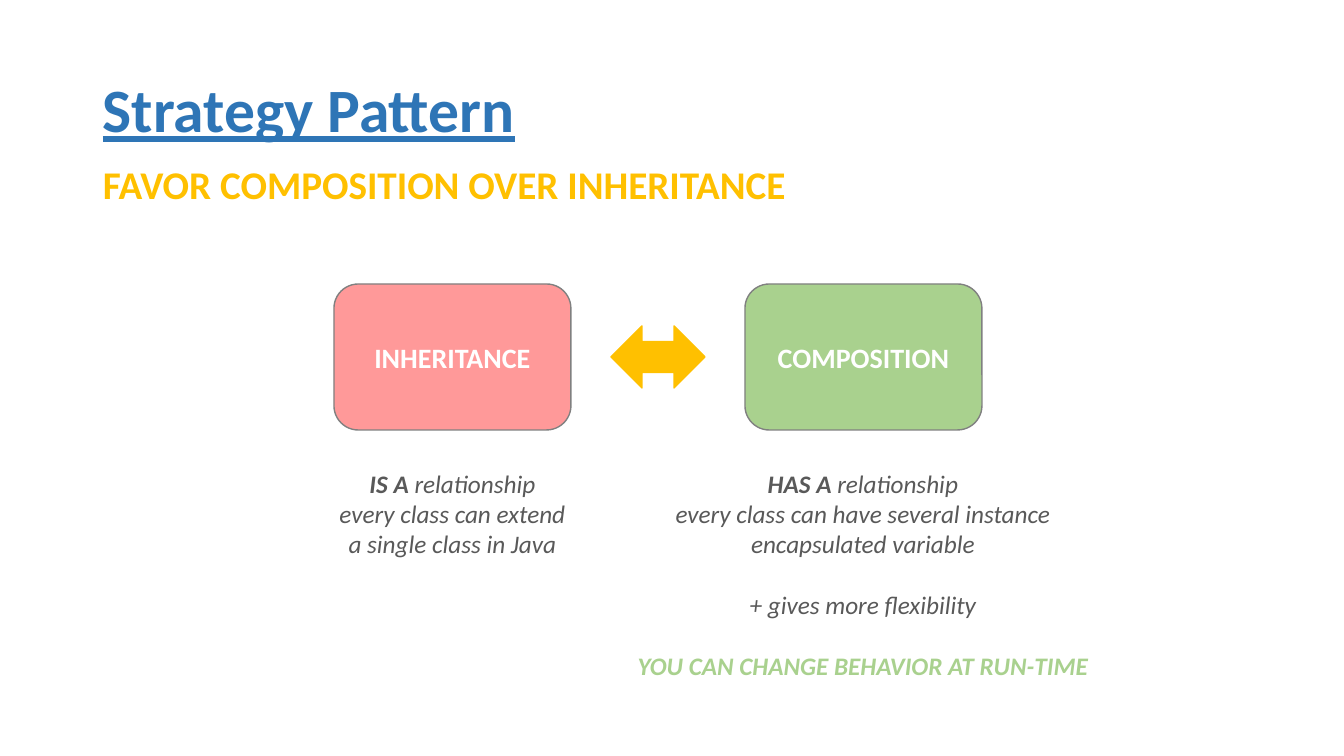
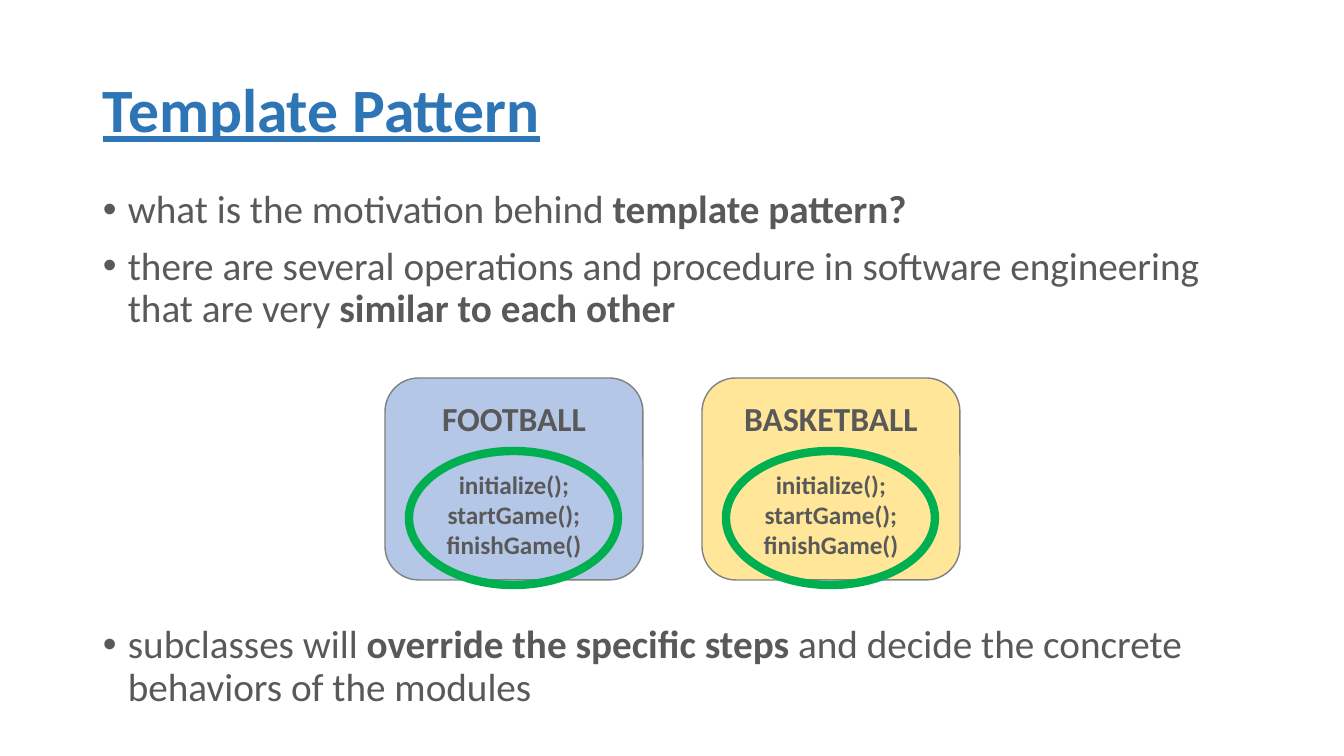
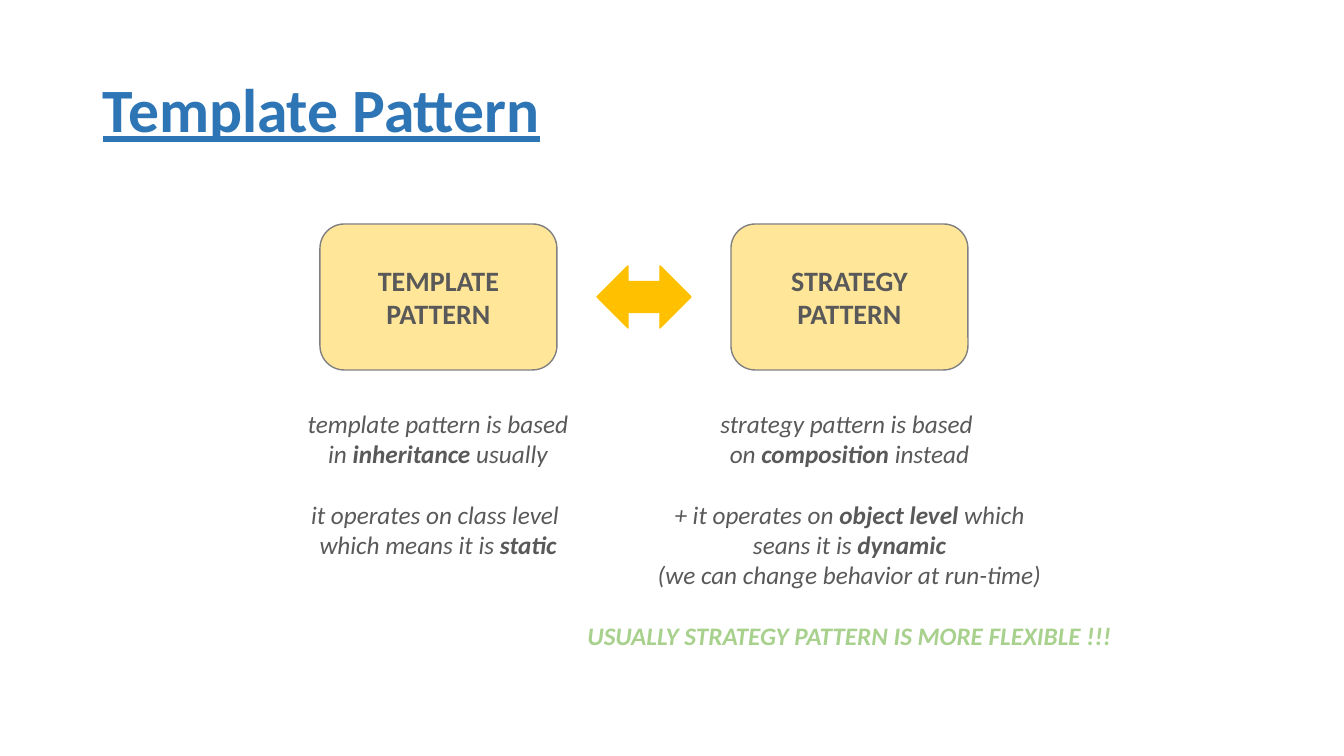
from lxml.etree import SubElement
from pptx import Presentation
from pptx.dml.color import RGBColor
from pptx.enum.shapes import MSO_SHAPE
from pptx.enum.text import MSO_ANCHOR, MSO_AUTO_SIZE, PP_ALIGN
from pptx.oxml.ns import qn
from pptx.util import Pt

PX = 914400 / 100.8
COLORS = {
    "title": "2E75B6", "text": "595959", "white": "FFFFFF", "outline": "808080",
    "gold": "FFC000", "red": "FF9999", "green": "A9D18E", "blue": "B4C7E7",
    "yellow": "FFE699", "ring": "00B050",
}
FONT = "Calibri"
BLANK_LINE = 22  # points, one line of 18 pt text


def add_object(page, kind, bounds, fill=None, line=None, line_width=1):
    """Place a preset shape, or a text box when kind is None; bounds in px."""
    bounds = [round(value * PX) for value in bounds]
    if kind is None:
        box = page.shapes.add_textbox(*bounds)
    else:
        box = page.shapes.add_shape(kind, *bounds)
        box.shadow.inherit = False
        box.line.color.rgb = RGBColor.from_string(COLORS[line])
        box.line.width = Pt(line_width)
        if fill:
            box.fill.solid()
            box.fill.fore_color.rgb = RGBColor.from_string(COLORS[fill])
        else:
            box.fill.background()
        box.text_frame.vertical_anchor = MSO_ANCHOR.MIDDLE
    box.text_frame.word_wrap = True
    return box


def write(box, text, size, color="text", bold=False, italic=False, underline=False,
          align=PP_ALIGN.CENTER, gap=0, spacing=1.0, bullet=False):
    """Add one paragraph; words between ** marks are bold."""
    frame = box.text_frame
    para = frame.add_paragraph() if frame.paragraphs[0].runs else frame.paragraphs[0]
    para.alignment, para.line_spacing, para.space_before = align, spacing, Pt(gap)
    if bullet:
        properties = para._p.get_or_add_pPr()
        indent = round(25 * PX)
        properties.set("marL", str(indent))
        properties.set("indent", str(-indent))
        SubElement(properties, qn("a:buFont")).set("typeface", "Arial")
        SubElement(properties, qn("a:buChar")).set("char", "•")
    font = para.font
    font.name, font.size = FONT, Pt(size)
    font.bold, font.italic, font.underline = bold, italic, underline
    font.color.rgb = RGBColor.from_string(COLORS[color])
    for index, part in enumerate(text.split("**")):
        if part:
            span = para.add_run()
            span.text = part
            if index % 2:
                span.font.bold = True


deck = Presentation()
deck.slide_width, deck.slide_height = round(1344 * PX), round(756 * PX)

# Pages with their shared title
pages = []
for title in ("Strategy Pattern", "Template Pattern", "Template Pattern"):
    page = deck.slides.add_slide(deck.slide_layouts[6])
    heading = add_object(page, None, (93, 40, 1159, 146))
    heading.text_frame.vertical_anchor = MSO_ANCHOR.MIDDLE
    write(heading, title, 44, "title", bold=True, underline=True,
          align=PP_ALIGN.LEFT, spacing=0.9)
    pages.append(page)
strategy_page, template_page, contrast_page = pages

# Strategy page: subtitle
subtitle = add_object(strategy_page, None, (93, 161, 1186, 538))
write(subtitle, "FAVOR COMPOSITION OVER INHERITANCE", 28, "gold", bold=True,
      align=PP_ALIGN.LEFT, spacing=0.9)

# Strategy and contrast pages: two cards, an arrow between, a caption under each.
# Card: label, fill, text color, caption width, caption groups (color, lines)
comparisons = [
    (strategy_page, 334, 284, [
        ("INHERITANCE", "red", "white", 249, [
            ("text", ["**IS A** relationship", "every class can extend",
                      "a single class in Java"]),
        ]),
        ("COMPOSITION", "green", "white", 476, [
            ("text", ["**HAS A** relationship", "every class can have several instance",
                      "encapsulated variable"]),
            ("text", ["+ gives more flexibility"]),
            ("green", ["**YOU CAN CHANGE BEHAVIOR AT RUN-TIME**"]),
        ]),
    ]),
    (contrast_page, 320, 224, [
        ("TEMPLATE PATTERN", "yellow", "text", 290, [
            ("text", ["template pattern is based", "in **inheritance** usually"]),
            ("text", ["it operates on class level ", "which means it is **static**"]),
        ]),
        ("STRATEGY PATTERN", "yellow", "text", 549, [
            ("text", ["strategy pattern is based ", "on **composition** instead"]),
            ("text", ["+ it operates on **object level **which", "seans it is **dynamic**",
                      "(we can change behavior at run-time)"]),
            ("green", ["**USUALLY STRATEGY PATTERN IS MORE FLEXIBLE !!!**"]),
        ]),
    ]),
]
card_width, card_height, card_step = 237, 146, 411
arrow_width, arrow_height = 94, 62
for page, left, top, cards in comparisons:
    for column, (label, fill, label_color, caption_width, groups) in enumerate(cards):
        card_left = left + column * card_step
        card = add_object(page, MSO_SHAPE.ROUNDED_RECTANGLE,
                          (card_left, top, card_width, card_height), fill, "outline")
        write(card, label, 20, label_color, bold=True)

        line_count = sum(len(lines) for _, lines in groups) + len(groups) - 1
        caption_left = card_left + (card_width - caption_width) // 2
        caption = add_object(page, None, (caption_left, top + 179,
                                          caption_width, 10 + 31 * line_count))
        caption.text_frame.word_wrap = False
        caption.text_frame.auto_size = MSO_AUTO_SIZE.SHAPE_TO_FIT_TEXT
        for group_index, (color, lines) in enumerate(groups):
            for line_index, text in enumerate(lines):
                gap = BLANK_LINE if group_index and not line_index else 0
                write(caption, text, 18, color, italic=True, gap=gap)

    arrow_left = left + (card_step + card_width - arrow_width) // 2
    arrow_top = top + (card_height - arrow_height) // 2
    add_object(page, MSO_SHAPE.LEFT_RIGHT_ARROW,
               (arrow_left, arrow_top, arrow_width, arrow_height), "gold", "gold")

# Template page: bullets, leaving room for the cards before the last one
body = add_object(template_page, None, (93, 185, 1159, 538))
for text, gap in (
    ("what is the motivation behind **template pattern?**", 0),
    ("there are several operations and procedure in software engineering "
     "that are very **similar to each other**", 10),
    ("subclasses will **override the specific steps **and decide the concrete "
     "behaviors of the modules", 210),
):
    write(body, text, 28, align=PP_ALIGN.LEFT, gap=gap, spacing=0.9, bullet=True)

# Template page: game cards with their common steps ringed
for column, (game, fill) in enumerate((("FOOTBALL", "blue"), ("BASKETBALL", "yellow"))):
    left = 385 + column * 317
    card = add_object(template_page, MSO_SHAPE.ROUNDED_RECTANGLE,
                      (left, 378, 258, 202), fill, "outline")
    write(card, game, 24, bold=True)
    for step, gap in (("initialize();", BLANK_LINE), ("startGame();", 0),
                      ("finishGame()", 0)):
        write(card, step, 18, bold=True, gap=gap)
    add_object(template_page, MSO_SHAPE.OVAL, (left + 24, 451, 209, 134),
               line="ring", line_width=6)

deck.save("out.pptx")
